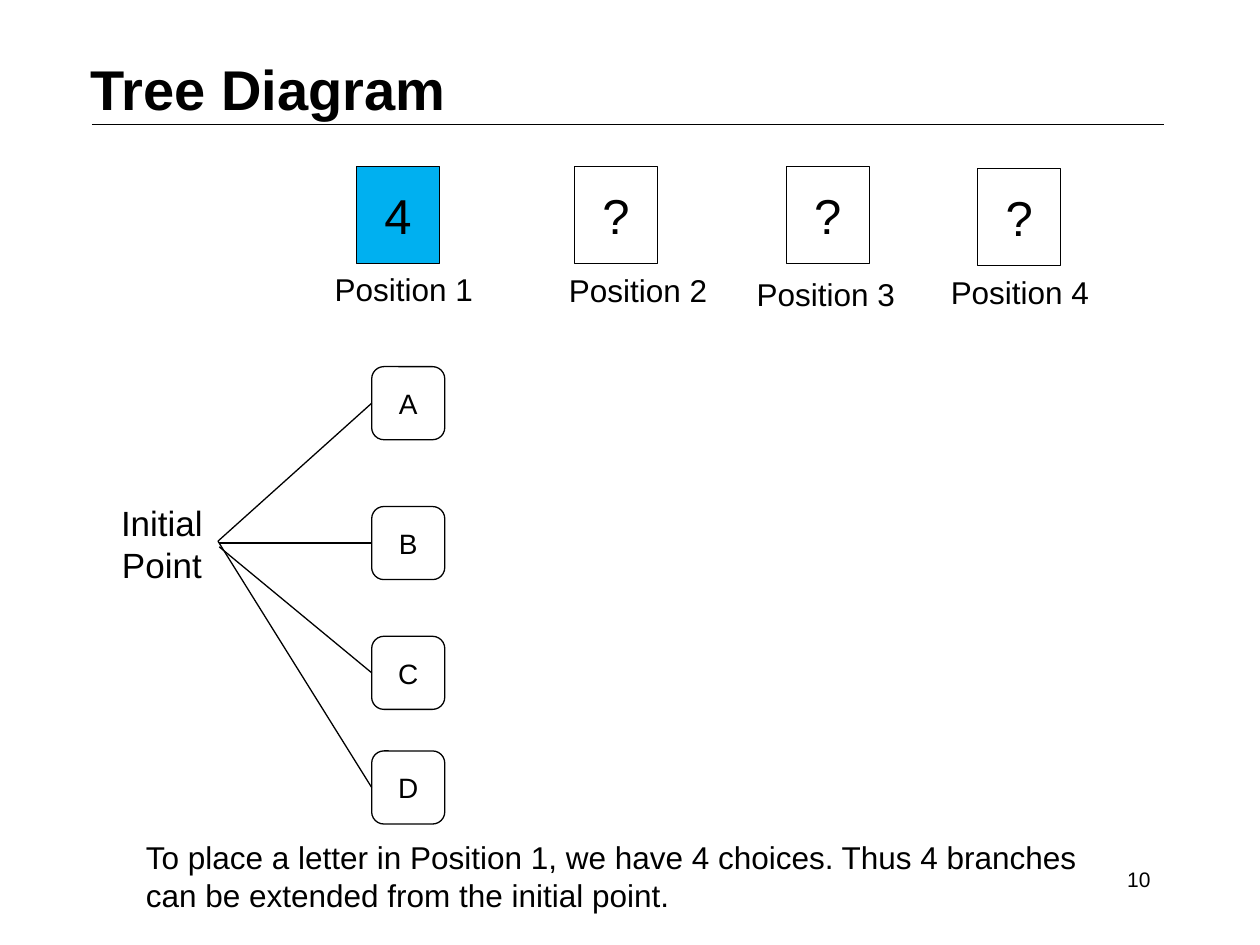
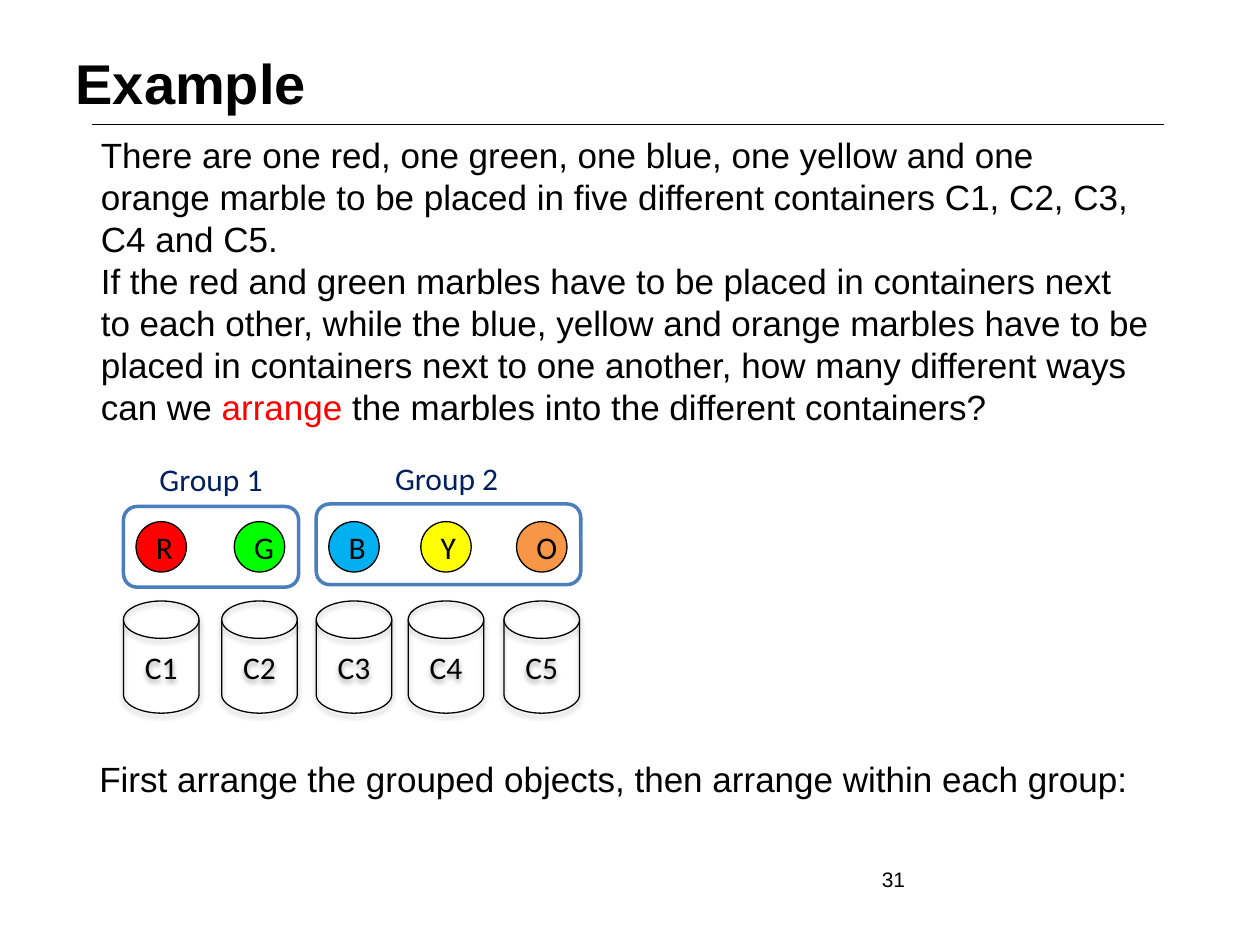
from dataclasses import dataclass

from lxml.etree import SubElement
from pptx import Presentation
from pptx.dml.color import RGBColor
from pptx.enum.shapes import MSO_CONNECTOR, MSO_SHAPE
from pptx.enum.text import MSO_ANCHOR, MSO_AUTO_SIZE, PP_ALIGN
from pptx.oxml.ns import qn
from pptx.util import Inches, Pt


@dataclass(frozen=True)
class Theme:
    black: str = "000000"
    white: str = "FFFFFF"
    red: str = "FF0000"
    green: str = "00FF00"
    blue: str = "00B0F0"
    yellow: str = "FFFF00"
    orange: str = "F79646"
    navy: str = "002060"
    group_line: str = "4B7EBC"
    font: str = "Arial"
    label_font: str = "Calibri"
    title_size: int = 32
    digit_size: int = 28
    body_size: int = 20
    label_size: int = 18
    node_size: int = 16
    number_size: int = 12
    thin: float = 0.25
    outline: float = 0.75
    thick: float = 2


LEFT, RIGHT = 1, 3
COLUMNS, ROWS = 100, 75


class Deck:
    def __init__(self, theme):
        self.theme = theme
        self.presentation = Presentation()
        self.presentation.slide_width = Inches(10)
        self.presentation.slide_height = Inches(7.5)
        self.column = self.presentation.slide_width / COLUMNS
        self.row = self.presentation.slide_height / ROWS
        self.slide = None

    def area(self, column, row, width, height):
        return (round(column * self.column), round(row * self.row),
                round(width * self.column), round(height * self.row))

    def move(self, shape, area):
        shape.left, shape.top, shape.width, shape.height = self.area(*area)

    def add_text_run(self, paragraph, text, size, color=None, font=None, bold=False):
        run = paragraph.add_run()
        run.text = text
        run.font.name = font or self.theme.font
        run.font.size = Pt(size)
        run.font.bold = bold
        run.font.color.rgb = RGBColor.from_string(color or self.theme.black)

    def start(self, layout, title, title_area, number, number_align):
        layouts = self.presentation.slide_layouts
        self.slide = self.presentation.slides.add_slide(layouts.get_by_name(layout))
        self.line((7.3, 9.9), (92.4, 9.9), self.theme.thin)
        placeholder = self.slide.shapes.title
        self.move(placeholder, title_area)
        frame = placeholder.text_frame
        frame.auto_size = MSO_AUTO_SIZE.NONE
        frame.vertical_anchor = MSO_ANCHOR.MIDDLE
        paragraph = frame.paragraphs[0]
        paragraph.alignment = PP_ALIGN.LEFT
        self.add_text_run(paragraph, title, self.theme.title_size, bold=True)
        self.text((69, 68.3, 23.3, 4), number, self.theme.number_size, align=number_align)

    def body(self, area, paragraphs):
        placeholder = self.slide.placeholders[1]
        self.move(placeholder, area)
        frame = placeholder.text_frame
        frame.auto_size = MSO_AUTO_SIZE.NONE
        for index, runs in enumerate(paragraphs):
            paragraph = frame.add_paragraph() if index else frame.paragraphs[0]
            paragraph.space_before = Pt(0)
            properties = paragraph._p.get_or_add_pPr()
            properties.set("marL", "0")
            properties.set("indent", "0")
            SubElement(properties, qn("a:buNone"))
            for text, color in runs:
                self.add_text_run(paragraph, text, self.theme.body_size, color)

    def text(self, area, text, size, color=None, font=None, align=PP_ALIGN.LEFT):
        box = self.slide.shapes.add_textbox(*self.area(*area))
        box.text_frame.word_wrap = True
        paragraph = box.text_frame.paragraphs[0]
        paragraph.alignment = align
        self.add_text_run(paragraph, text, size, color, font)
        return box

    def shape(self, kind, area, text="", size=None, fill=None, font=None,
              line=None, width=None):
        shape = self.slide.shapes.add_shape(kind, *self.area(*area))
        shape.shadow.inherit = False
        if fill:
            shape.fill.solid()
            shape.fill.fore_color.rgb = RGBColor.from_string(fill)
        else:
            shape.fill.background()
        shape.line.color.rgb = RGBColor.from_string(line or self.theme.black)
        shape.line.width = Pt(width or self.theme.outline)
        if text:
            paragraph = shape.text_frame.paragraphs[0]
            paragraph.alignment = PP_ALIGN.CENTER
            self.add_text_run(paragraph, text, size, font=font)
        return shape

    def container(self, area, text):
        shape = self.shape(MSO_SHAPE.FLOWCHART_MAGNETIC_DISK, area, text,
                           self.theme.label_size, font=self.theme.label_font)
        effects = shape._element.spPr.find(qn("a:effectLst"))
        shadow = SubElement(effects, qn("a:outerShdw"), blurRad=str(int(Pt(3.1))),
                            dist=str(int(Pt(1.8))), dir="5400000", rotWithShape="0")
        color = SubElement(shadow, qn("a:srgbClr"), val=self.theme.black)
        SubElement(color, qn("a:alpha"), val="35000")

    def line(self, start, end, width=None):
        points = [round(value * unit) for point in (start, end)
                  for value, unit in zip(point, (self.column, self.row))]
        connector = self.slide.shapes.add_connector(MSO_CONNECTOR.STRAIGHT, *points)
        connector.line.color.rgb = RGBColor.from_string(self.theme.black)
        connector.line.width = Pt(width or self.theme.outline)
        SubElement(connector._element.spPr, qn("a:effectLst"))
        return connector

    def branch(self, node, root, root_point=None):
        connector = self.line((0, 0), root_point or (0, 0))
        connector.begin_connect(node, LEFT)
        if not root_point:
            connector.end_connect(root, RIGHT)


def tree_slide(deck):
    theme = deck.theme
    deck.start("Title Only", "Tree Diagram", (6.2, 3.2, 81.3, 7.6), "10", PP_ALIGN.RIGHT)

    positions = [(28.3, 13.2, 24.9, 20.9), (45.6, 13.2, 43.5, 21),
                 (62.4, 13.2, 58.4, 21.3), (77.6, 13.4, 73.8, 21.2)]
    for index, (column, row, label_column, label_row) in enumerate(positions):
        digit, fill = ("?", theme.white) if index else ("4", theme.blue)
        deck.shape(MSO_SHAPE.RECTANGLE, (column, row, 6.6, 7.7), digit,
                   theme.digit_size, fill)
        deck.text((label_column, label_row, 14.3, 4.5), f"Position {index + 1}",
                  theme.label_size, align=PP_ALIGN.CENTER)

    root = deck.text((8.4, 39.3, 8.9, 7.3), "Initial Point", theme.body_size,
                     align=PP_ALIGN.CENTER)
    nodes = [("A", 29.1, None), ("B", 40.2, (17.4, 43.1)),
             ("C", 50.5, (17.4, 43.4)), ("D", 59.6, None)]
    for letter, row, root_point in nodes:
        node = deck.shape(MSO_SHAPE.ROUNDED_RECTANGLE, (29.5, row, 5.8, 5.8), letter,
                          theme.node_size, theme.white)
        deck.branch(node, root, root_point)

    deck.text((10.6, 66, 80, 7.1),
              "To place a letter in Position 1, we have 4 choices. Thus 4 branches "
              "can be extended from the initial point.", theme.label_size)


def marbles_slide(deck):
    theme = deck.theme
    deck.start("Title and Content", "Example", (5, 3, 90, 7.1), "31", PP_ALIGN.LEFT)
    deck.body((7, 10.1, 85.3, 24.6), [
        [("There are one red, one green, one blue, one yellow and one orange marble "
          "to be placed in five different containers C1, C2, C3, C4 and C5.", None)],
        [("If the red and green marbles have to be placed in containers next to each "
          "other, while the blue, yellow and orange marbles have to be placed in "
          "containers next to one another, how many different ways can we ", None),
         ("arrange", theme.red),
         (" the marbles into the different containers?", None)],
    ])

    hint = deck.text((3.9, 59.1, 88.4, 4.6),
                     "First arrange the grouped objects, then arrange within each group:",
                     theme.body_size)
    paragraph = hint.text_frame.paragraphs[0]
    paragraph.line_spacing = 1.15
    paragraph.space_before, paragraph.space_after = Pt(12), Pt(6)
    paragraph._p.get_or_add_pPr().set("marL", str(int(Inches(0.3))))

    marbles = [("R", theme.red, 9.8), ("G", theme.green, 17.6), ("B", theme.blue, 25.1),
               ("Y", theme.yellow, 32.4), ("O", theme.orange, 40)]
    for index, (letter, color, column) in enumerate(marbles, 1):
        deck.shape(MSO_SHAPE.OVAL, (column + 1, 41.4, 4, 4), letter,
                   theme.label_size, color, theme.label_font)
        deck.container((column, 47.7, 6, 8.9), f"C{index}")

    groups = [((9.8, 40.2, 13.9, 6.4), (10.3, 36, 12.9, 4)),
              ((25.1, 40, 21, 6.4), (29, 35.9, 12.9, 4))]
    for index, (frame_area, label_area) in enumerate(groups, 1):
        deck.shape(MSO_SHAPE.ROUNDED_RECTANGLE, frame_area,
                   line=theme.group_line, width=theme.thick)
        deck.text(label_area, f"Group {index}", theme.label_size, theme.navy,
                  theme.label_font, PP_ALIGN.CENTER)


def main():
    deck = Deck(Theme())
    tree_slide(deck)
    marbles_slide(deck)
    deck.presentation.save("out.pptx")


if __name__ == "__main__":
    main()
